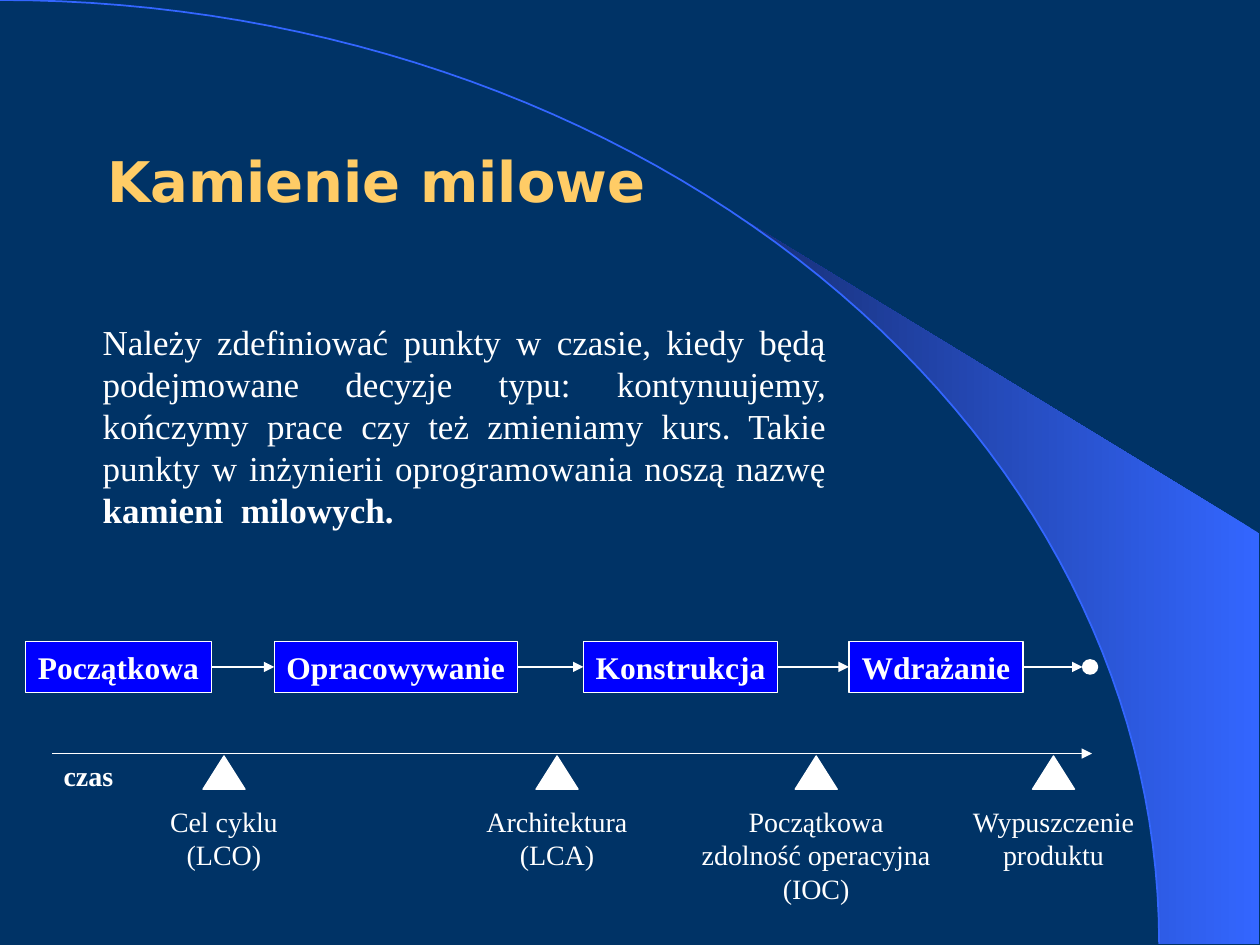
from math import acos, cos, pi, sin

from lxml.etree import SubElement
from pptx import Presentation
from pptx.dml.color import RGBColor
from pptx.enum.shapes import MSO_CONNECTOR as Connector, MSO_SHAPE as Shape
from pptx.enum.text import MSO_ANCHOR as Anchor, MSO_AUTO_SIZE as AutoSize, PP_ALIGN as Align
from pptx.oxml.ns import qn
from pptx.util import Pt

WHITE, ROYAL, SERIF = "FFFFFF", "3366FF", "Times New Roman"


def color(code):
    return RGBColor.from_string(code)


def write(shape, lines, size, bold=False, align=Align.CENTER, font=SERIF, ink=WHITE):
    shape.text_frame.text = "\n".join(lines)
    for para in shape.text_frame.paragraphs:
        para.alignment = align
        para.font.name, para.font.size = font, Pt(size)
        para.font.bold = bold
        para.font.color.rgb = color(ink)


deck = Presentation()
deck.slide_width, deck.slide_height = Pt(720), Pt(540)
page = deck.slides.add_slide(deck.slide_layouts[5])
page.background.fill.solid()
page.background.fill.fore_color.rgb = color("003366")
shapes = page.shapes

# Backdrop: a quarter ellipse and a wedge resting on its lower part
radius_x, radius_y = 662.4, 539.3
steps = 60


def arc_points(start):
    angles = [start * (1 - step / steps) for step in range(steps + 1)]
    return [(Pt(radius_x * cos(a)), Pt(radius_y * (1 - sin(a)))) for a in angles]


curve = arc_points(acos(424 / radius_x))
builder = shapes.build_freeform(*curve[0])
builder.add_line_segments(
    curve[1:] + [(Pt(719.3), Pt(radius_y)), (Pt(719.3), Pt(304.6))], close=True)
wedge = builder.convert_to_shape()
wedge.shadow.inherit = False
wedge.line.fill.background()
wedge.fill.gradient()
wedge.fill.gradient_angle = 180
for stop, code in zip(wedge.fill.gradient_stops, (ROYAL, "172F75")):
    stop.color.rgb = color(code)

curve = arc_points(pi / 2)
builder = shapes.build_freeform(*curve[0])
builder.add_line_segments(curve[1:], close=False)
arc = builder.convert_to_shape()
arc.shadow.inherit = False
arc.fill.background()
arc.line.color.rgb = color(ROYAL)
arc.line.width = Pt(1)

# Title, in front of the backdrop
title = shapes.title
arc._element.addnext(title._element)
title.left, title.top, title.width, title.height = Pt(54), Pt(54.7), Pt(340), Pt(96.5)
title.text_frame.vertical_anchor = Anchor.MIDDLE
title.text_frame.auto_size = AutoSize.NONE
write(title, ["Kamienie milowe"], 32, True, Align.LEFT, "DejaVu Sans", "FFCC66")

# Definition
body = shapes.add_textbox(Pt(51.6), Pt(179.7), Pt(427.7), Pt(127.4))
body.text_frame.word_wrap = True
write(body, ["Należy zdefiniować punkty w czasie, kiedy będą podejmowane decyzje typu: "
             "kontynuujemy, kończymy prace czy też zmieniamy kurs. Takie punkty w "
             "inżynierii oprogramowania noszą nazwę "], 20, align=Align.JUSTIFY)
span = body.text_frame.paragraphs[0].add_run()
span.text = "kamieni  milowych."
span.font.bold = True

# Phases
phases = []
for name, left, width in [("Początkowa", 14.4, 106.6), ("Opracowywanie", 156.7, 139),
                          ("Konstrukcja", 333.4, 111), ("Wdrażanie", 485.1, 99.5)]:
    phase = shapes.add_shape(Shape.RECTANGLE, Pt(left), Pt(366.6), Pt(width), Pt(29))
    phase.fill.solid()
    phase.fill.fore_color.rgb = color("0000FF")
    phase.text_frame.word_wrap = False
    phase.text_frame.vertical_anchor = Anchor.MIDDLE
    write(phase, [name], 18, True)
    phases.append(phase)
finish = shapes.add_shape(Shape.OVAL, Pt(618.6), Pt(377), Pt(8.6), Pt(8.2))

# Milestones on the time axis
markers = []
for lines, center in [(["Cel cyklu", "(LCO)"], 128),
                      (["Architektura", "(LCA)"], 318.3),
                      (["Początkowa", "zdolność operacyjna", "(IOC)"], 466.4),
                      (["Wypuszczenie", "produktu"], 602)]:
    marker = shapes.add_shape(
        Shape.ISOSCELES_TRIANGLE, Pt(center - 12), Pt(432), Pt(24), Pt(19))
    markers.append(marker)
    label = shapes.add_textbox(Pt(center - 76), Pt(456), Pt(152), Pt(7.2 + 19.2 * len(lines)))
    label.text_frame.word_wrap = False
    label.text_frame.auto_size = AutoSize.SHAPE_TO_FIT_TEXT
    write(label, lines, 16)
time_label = shapes.add_textbox(Pt(29.3), Pt(430), Pt(50), Pt(26.6))
time_label.text_frame.word_wrap = False
time_label.text_frame.auto_size = AutoSize.SHAPE_TO_FIT_TEXT
write(time_label, ["czas"], 16, True, Align.LEFT)

for marker in markers + [finish]:
    marker.fill.solid()
    marker.fill.fore_color.rgb = color(WHITE)
for shape in phases + markers + [finish]:
    shape.shadow.inherit = False
    shape.line.color.rgb = color(WHITE)
    shape.line.width = Pt(0.75)

# Arrows: the time axis, then phase to phase and on to the finish
arrows = [shapes.add_connector(Connector.STRAIGHT, Pt(30), Pt(430.6), Pt(624), Pt(430.6))]
for phase, following in zip(phases, phases[1:] + [None]):
    arrow = shapes.add_connector(
        Connector.STRAIGHT, Pt(584.6), Pt(381.1), Pt(618.6), Pt(381.1))
    arrow.begin_connect(phase, 3)
    if following:
        arrow.end_connect(following, 1)
    arrows.append(arrow)
for arrow in arrows:
    arrow.line.color.rgb = color(WHITE)
    arrow.line.width = Pt(0.75)
    SubElement(arrow.line._get_or_add_ln(), qn("a:tailEnd"), type="triangle")
    SubElement(arrow._element.spPr, qn("a:effectLst"))

deck.save("out.pptx")
